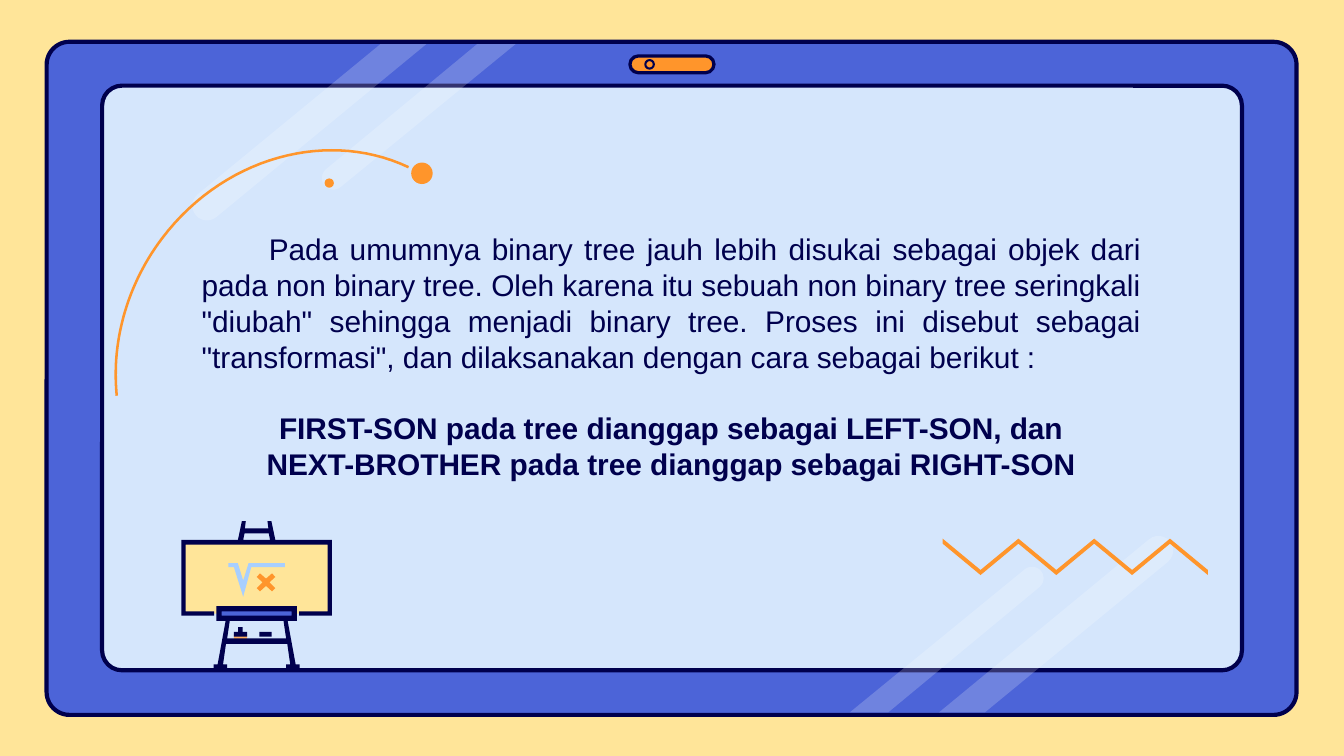
import math
from dataclasses import dataclass

from lxml import etree
from pptx import Presentation
from pptx.dml.color import RGBColor
from pptx.enum import shapes as sh, text as tx
from pptx.oxml import ns
from pptx.util import Pt

NAVY = RGBColor(0x00, 0x00, 0x4D)
BLUE = RGBColor(0x4C, 0x64, 0xD8)
ICE = RGBColor(0xD5, 0xE6, 0xFC)
SKY = RGBColor(0xA8, 0xCF, 0xFF)
CREAM = RGBColor(0xFF, 0xE5, 0x99)
ORANGE = RGBColor(0xFF, 0x95, 0x2B)
PEACH = RGBColor(0xFF, 0xB0, 0x61)
WHITE = RGBColor(0xFF, 0xFF, 0xFF)

RECT = sh.MSO_SHAPE.RECTANGLE
ROUND = sh.MSO_SHAPE.ROUNDED_RECTANGLE
OVAL = sh.MSO_SHAPE.OVAL
Point = tuple[float, float]


@dataclass
class Piece:
    """A preset shape, in points."""
    kind: sh.MSO_SHAPE
    left: float
    top: float
    width: float
    height: float
    fill: RGBColor | None = None
    line: RGBColor | None = None
    weight: float = 0
    corner: float | None = None


@dataclass
class Streak:
    """A glare band from a flat edge to a round tip."""
    near_x: float
    far_x: float
    edge_y: float
    tip: Point
    radius: float

    def outline(self) -> list[Point]:
        cap = [(self.tip[0] + self.radius * math.cos(math.radians(a)),
                self.tip[1] + self.radius * math.sin(math.radians(a)))
               for a in range(50, 231, 15)]
        return [(self.near_x, self.edge_y), *cap, (self.far_x, self.edge_y)]


def paint(shape, fill: RGBColor | None, line: RGBColor | None = None, weight: float = 0) -> None:
    shape.shadow.inherit = False
    if fill is None:
        shape.fill.background()
    else:
        shape.fill.solid()
        shape.fill.fore_color.rgb = fill
    if line is None:
        shape.line.fill.background()
    else:
        shape.line.color.rgb = line
        shape.line.width = Pt(weight)


def draw_piece(slide, piece: Piece) -> None:
    shape = slide.shapes.add_shape(piece.kind, Pt(piece.left), Pt(piece.top),
                                   Pt(piece.width), Pt(piece.height))
    if piece.corner is not None:
        shape.adjustments[0] = piece.corner
    paint(shape, piece.fill, piece.line, piece.weight)


def draw_outline(slide, contours: list[list[Point]], closed: bool = True):
    builder = None
    for contour in contours:
        (x, y), *rest = [(Pt(px), Pt(py)) for px, py in contour]
        if builder is None:
            builder = slide.shapes.build_freeform(x, y)
        else:
            builder.move_to(x, y)
        builder.add_line_segments(rest, close=closed)
    return builder.convert_to_shape()


def mirrored(axis: float, half: list[Point]) -> list[Point]:
    """Close a right half, given as offsets from the axis, with its left half."""
    return [(axis + x, y) for x, y in half] + [(axis - x, y) for x, y in reversed(half)]


def bezier(p0: Point, p1: Point, p2: Point, p3: Point, steps: int = 30) -> list[Point]:
    def at(t: float, i: int) -> float:
        s = 1 - t
        return s**3 * p0[i] + 3 * s * s * t * p1[i] + 3 * s * t * t * p2[i] + t**3 * p3[i]
    return [(at(k / steps, 0), at(k / steps, 1)) for k in range(steps + 1)]


def draw_tablet(slide) -> None:
    draw_piece(slide, Piece(ROUND, 25, 22.4, 669.6, 360.6, BLUE, NAVY, 2.25, 0.034))
    draw_piece(slide, Piece(ROUND, 54.7, 45.9, 610.6, 313.2, ICE, NAVY, 2.25, 0.034))
    # Glare at the top left, and the same turned half round at the bottom right
    streaks = [Streak(228.4, 203.8, 23.6, (110.9, 110.2), 7.9),
               Streak(276.2, 255.6, 23.6, (178.6, 95.4), 6.2)]
    turned_sum = (731.5, 405.2)
    for streak in streaks:
        upper = streak.outline()
        lower = [(turned_sum[0] - x, turned_sum[1] - y) for x, y in upper]
        for outline in (upper, lower):
            glare = draw_outline(slide, [outline])
            paint(glare, WHITE)
            color = glare.fill._xPr.find(ns.qn("a:solidFill"))[0]
            etree.SubElement(color, ns.qn("a:alpha"), val="20000")
    # Camera
    draw_piece(slide, Piece(ROUND, 337.5, 30, 45, 9, ORANGE, NAVY, 1.75, 0.5))
    draw_piece(slide, Piece(OVAL, 345.7, 32.2, 4.6, 4.6, None, NAVY, 1.1))


def write_body(slide) -> None:
    title, body = slide.shapes.title, slide.placeholders[1]
    title.element.getparent().remove(title.element)
    slide.shapes.element.append(body.element)  # in front of the tablet
    body.left, body.top, body.width, body.height = Pt(100.8), Pt(116.6), Pt(517.7), Pt(142.6)
    frame = body.text_frame
    frame.word_wrap = True
    frame.auto_size = tx.MSO_AUTO_SIZE.NONE
    frame.vertical_anchor = tx.MSO_ANCHOR.TOP
    frame.margin_left = frame.margin_right = frame.margin_top = frame.margin_bottom = Pt(7.2)
    lines = [
        'Pada umumnya binary tree jauh lebih disukai sebagai objek dari pada non binary tree. '
        'Oleh karena itu sebuah non binary tree seringkali "diubah" sehingga menjadi binary tree. '
        'Proses ini disebut sebagai "transformasi", dan dilaksanakan dengan cara sebagai berikut :',
        "FIRST-SON pada tree dianggap sebagai LEFT-SON, dan",
        "NEXT-BROTHER pada tree dianggap sebagai RIGHT-SON",
    ]
    frame.text = "\n".join(lines)
    for i, paragraph in enumerate(frame.paragraphs):
        paragraph.alignment = tx.PP_ALIGN.CENTER if i else tx.PP_ALIGN.JUSTIFY
        paragraph.line_spacing = 1.0
        paragraph.space_before = Pt(18.8 if i == 1 else 0)
        paragraph.space_after = Pt(0)
        font = paragraph.font
        font.name, font.size, font.bold = "Arial", Pt(16), i > 0
        font.color.rgb = NAVY
    properties = frame.paragraphs[0]._p.get_or_add_pPr()
    properties.set("marL", "0")
    properties.set("indent", str(Pt(36)))


def draw_ornaments(slide) -> None:
    # Zigzag band
    ridge = [(505 + 20.3 * k, 305.4 if k % 2 else 288.6) for k in range(8)]
    band = ridge + [(x, y + 2.7) for x, y in reversed(ridge)]
    paint(draw_outline(slide, [band]), ORANGE)
    # Arc and its dots
    middle = (86.8, 127.8)
    arc = (bezier((218.9, 89.6), (175.7, 69.1), (119.9, 83.9), middle)
           + bezier(middle, (67.3, 153.7), (59.8, 184.3), (62.6, 212))[1:])
    paint(draw_outline(slide, [arc], closed=False), None, ORANGE, 1.35)
    draw_piece(slide, Piece(OVAL, 173.9, 95.6, 5, 5, ORANGE))
    draw_piece(slide, Piece(OVAL, 220.3, 87.1, 11.5, 11.5, ORANGE))


def draw_easel(slide) -> None:
    axis = 137.5
    for piece in (Piece(RECT, 125.3, 339.8, 7.2, 3.6, PEACH),
                  Piece(RECT, 98.6, 290.2, 77.8, 38.6, CREAM),
                  Piece(RECT, 117.4, 326.2, 40.3, 5, BLUE)):
        draw_piece(slide, piece)
    # Root sign and x
    root = [(122.4, 301.7), (122.4, 303.8), (125.3, 303.8), (130.3, 319.7), (134.6, 303.8),
            (152.6, 303.8), (152.6, 301.7), (133.2, 301.7), (130.3, 311), (127.4, 301.7)]
    paint(draw_outline(slide, [root]), SKY)
    cross = mirrored(142.5, [(0, 310), (3.2, 307.2), (5, 309.1), (1.8, 312),
                             (5, 315.1), (3.2, 316.8), (0, 313.9)])
    paint(draw_outline(slide, [cross]), ORANGE)
    # Stand: shelf opening, leg opening, outer edge
    stand = [
        [(18.7, 327.6), (18.7, 329.8)],
        [(14.4, 332.6), (15.8, 342)],
        [(21.6, 324.7), (21.6, 332.6), (16.6, 332.6), (20.9, 355.9), (23, 355.9), (23, 358.4),
         (15.8, 358.4), (15.8, 355.9), (18, 355.9), (16.4, 344.9)],
    ]
    # Board frame: opening under the crossbar, outer edge
    board = [
        [(6.5, 285.8), (7.2, 289.2)],
        [(6.3, 283), (5.8, 279.2), (7.9, 279.2), (10, 289.2), (40.3, 289.2), (40.3, 329.8),
         (22.7, 329.8), (22.7, 327.6), (38, 327.6), (38, 291.8)],
    ]
    for halves in (stand, board):
        paint(draw_outline(slide, [mirrored(axis, half) for half in halves]), NAVY)
    # Plus and minus
    for left, top, width, height in ((125.3, 338.6, 7.2, 2.5), (127.6, 336, 2.5, 3.6),
                                     (139, 338.6, 6.5, 2.5)):
        draw_piece(slide, Piece(RECT, left, top, width, height, NAVY))


def main() -> None:
    deck = Presentation()
    deck.slide_width, deck.slide_height = Pt(720), Pt(405)
    slide = deck.slides.add_slide(deck.slide_layouts[0])
    slide.background.fill.solid()
    slide.background.fill.fore_color.rgb = CREAM
    draw_tablet(slide)
    write_body(slide)
    draw_ornaments(slide)
    draw_easel(slide)
    deck.save("out.pptx")


if __name__ == "__main__":
    main()
